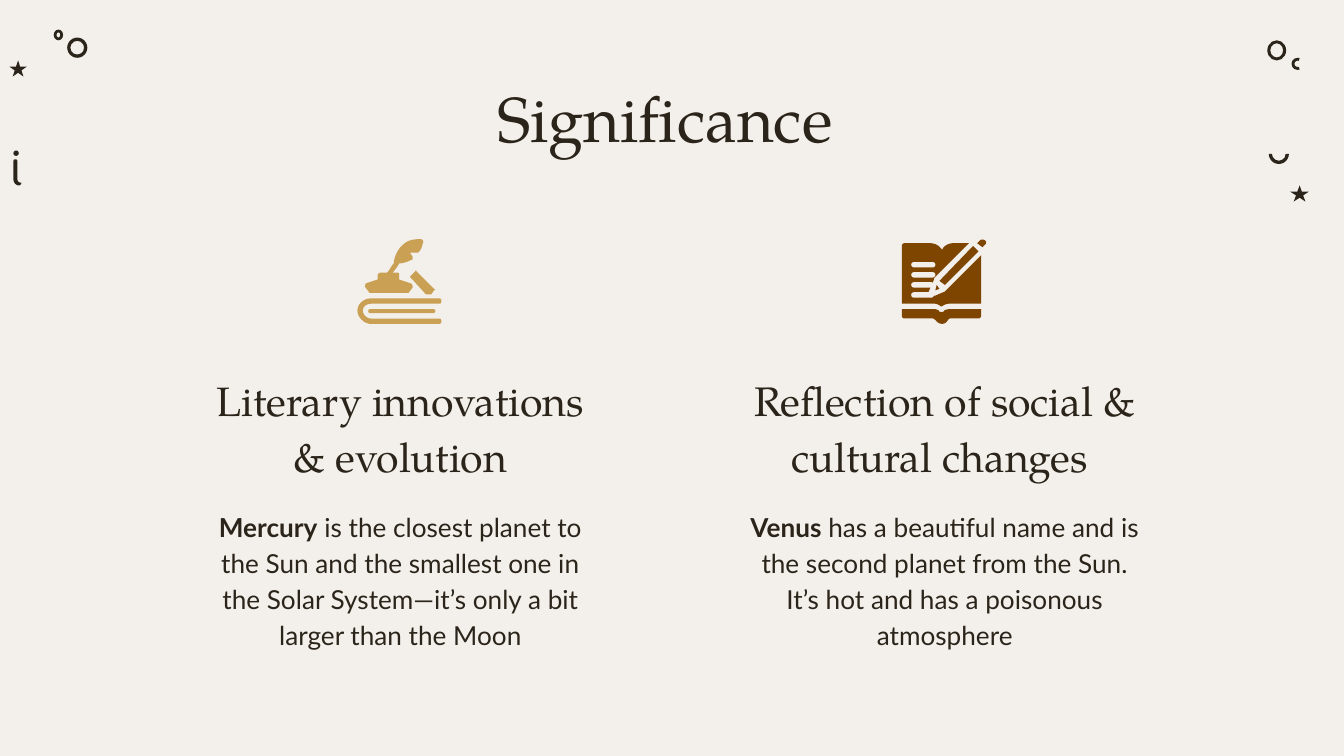
"""Build the two-column "Significance" slide with its icons and corner ornaments."""
import lxml.etree
import pptx
import pptx.dml.color
import pptx.enum.shapes
import pptx.enum.text
import pptx.oxml.ns
import pptx.util

Inches = pptx.util.Inches
Preset = pptx.enum.shapes.MSO_SHAPE
Anchor = pptx.enum.text.MSO_ANCHOR

COLORS = {"background": "F3EFEA", "ink": "2B241A", "gold": "CAA054", "brown": "7E4500"}
SERIF, SANS = "TeX Gyre Pagella", "Lato"

COLUMNS = [
    (1.43, "Literary innovations & evolution", "Mercury",
     " is the closest planet to the Sun and the smallest one in the Solar System—it’s only a bit larger than the Moon"),
    (5.48, "Reflection of social & cultural changes ", "Venus",
     " has a beautiful name and is the second planet from the Sun. It’s hot and has a poisonous atmosphere"),
]

ORNAMENTS = [
    (Preset.STAR_5_POINT, (9.6, 1.38, 0.14, 0.12), ()),
    (Preset.DONUT, (9.43, 0.3, 0.14, 0.15), (0.16,)),
    (Preset.BLOCK_ARC, (9.44, 1.07, 0.15, 0.15), (0, 108, 0.16)),
    (Preset.BLOCK_ARC, (9.61, 0.43, 0.09, 0.09), (42, 174, 0.24)),
    (Preset.STAR_5_POINT, (0.07, 0.45, 0.13, 0.12), ()),
    (Preset.DONUT, (0.5, 0.28, 0.15, 0.15), (0.16,)),
    (Preset.DONUT, (0.4, 0.22, 0.07, 0.08), (0.3,)),
    (Preset.OVAL, (0.1, 1.12, 0.04, 0.04), ()),
]
HOOK = [(0.1, 1.33), (0.1, 1.36, 0.12, 1.38, 0.14, 1.38), (0.15, 1.38, 0.16, 1.37, 0.16, 1.36),
        (0.14, 1.36, 0.13, 1.35, 0.13, 1.33), (0.13, 1.2), (0.13, 1.18, 0.1, 1.18, 0.1, 1.2)]

PENCIL_TIP = [(6.96, 2.16), (6.99, 2.15), (6.97, 2.12)]
PENCIL_BODY = [(7.28, 1.87), (7.24, 1.83), (6.99, 2.09), (7.03, 2.12)]
PENCIL_END = [(7.33, 1.79), (7.32, 1.78, 7.3, 1.78, 7.29, 1.79), (7.27, 1.81), (7.31, 1.84),
              (7.33, 1.82), (7.34, 1.81, 7.34, 1.8, 7.33, 1.79)]
BOOK_COVER = [(7.07, 2.3), (7.04, 2.3, 7.02, 2.31, 7.02, 2.32), (6.99, 2.32),
              (6.99, 2.31, 6.97, 2.3, 6.95, 2.3), (6.71, 2.3), (6.71, 2.35),
              (6.71, 2.36, 6.72, 2.37, 6.73, 2.37), (6.94, 2.37),
              (6.96, 2.37, 6.97, 2.41, 7.01, 2.41), (7.05, 2.41, 7.05, 2.37, 7.07, 2.37),
              (7.28, 2.37), (7.29, 2.37, 7.3, 2.36, 7.3, 2.35), (7.3, 2.3)]
BOOK_PAGES = [(6.95, 2.26), (6.97, 2.26, 6.99, 2.27, 7, 2.28), (7.01, 2.28),
              (7.02, 2.27, 7.04, 2.26, 7.07, 2.26), (7.3, 2.26), (7.3, 1.9), (7.04, 2.16),
              (7.03, 2.17), (6.96, 2.2), (6.91, 2.21), (6.91, 2.17), (6.95, 2.08), (6.95, 2.07),
              (7.21, 1.81), (7.09, 1.81), (7.06, 1.81, 7.02, 1.83, 7.01, 1.86),
              (6.99, 1.83, 6.96, 1.81, 6.92, 1.81), (6.73, 1.81),
              (6.72, 1.81, 6.71, 1.82, 6.71, 1.83), (6.71, 2.26)]

BOOK_SPINE = [(3.27, 2.41), (2.76, 2.41), (2.71, 2.41, 2.66, 2.36, 2.66, 2.31),
              (2.66, 2.26, 2.71, 2.22, 2.76, 2.22), (3.27, 2.22),
              (3.29, 2.22, 3.29, 2.26, 3.27, 2.26), (2.76, 2.26),
              (2.73, 2.26, 2.7, 2.28, 2.7, 2.31), (2.7, 2.34, 2.73, 2.37, 2.76, 2.37),
              (3.27, 2.37), (3.29, 2.37, 3.29, 2.41, 3.27, 2.41)]
QUILL_CASE = [(3.17, 2.19), (3.21, 2.19), (3.23, 2.16), (3.24, 2.16, 3.24, 2.15, 3.23, 2.15),
              (3.1, 2.02), (3.1, 2.01, 3.09, 2.01, 3.09, 2.02), (3.06, 2.05),
              (3.05, 2.06, 3.05, 2.06, 3.06, 2.07)]
FEATHER_INKWELL = [
    (3.13, 1.78), (3.1, 1.78, 3.04, 1.78, 3, 1.82), (2.95, 1.86, 2.93, 1.93, 2.93, 1.96),
    (2.91, 1.98, 2.9, 2.01, 2.88, 2.03), (2.83, 2.03), (2.82, 2.03, 2.81, 2.04, 2.81, 2.05),
    (2.81, 2.08), (2.72, 2.11), (2.72, 2.12, 2.71, 2.13, 2.72, 2.14), (2.75, 2.18), (3.04, 2.18),
    (3.07, 2.14), (3.07, 2.13, 3.07, 2.12, 3.06, 2.11), (2.97, 2.08), (2.97, 2.05),
    (2.97, 2.04, 2.97, 2.03, 2.96, 2.03), (2.92, 2.03), (2.94, 2.01, 2.96, 1.98, 2.97, 1.96),
    (3, 1.96, 3.03, 1.95, 3.07, 1.93), (3.07, 1.92, 3.07, 1.91, 3.07, 1.91), (3.05, 1.88),
    (3.11, 1.88), (3.14, 1.86, 3.14, 1.82, 3.15, 1.8), (3.15, 1.79, 3.14, 1.78, 3.13, 1.78)]


def rgb(name):
    """Return the named palette colour."""
    return pptx.dml.color.RGBColor.from_string(COLORS[name])


def paint(shape, color):
    """Give a shape a flat fill without outline or shadow."""
    shape.shadow.inherit = False
    shape.fill.solid()
    shape.fill.fore_color.rgb = rgb(color)
    shape.line.fill.background()


def add_preset(slide, preset, box, color, adjustments=()):
    """Add a preset shape in a box of inches."""
    shape = slide.shapes.add_shape(preset, *map(Inches, box))
    for index, value in enumerate(adjustments):
        shape.adjustments[index] = value
    paint(shape, color)


def add_pill(slide, box, color):
    """Add a bar with fully rounded ends."""
    add_preset(slide, Preset.ROUNDED_RECTANGLE, box, color, (0.5,))


def trace(segments, steps=8):
    """Turn points and cubic curves into a list of points."""
    points = [segments[0]]
    for segment in segments[1:]:
        if len(segment) == 2:
            points.append(segment)
            continue
        controls = [points[-1], segment[:2], segment[2:4], segment[4:]]
        for step in range(1, steps + 1):
            t = step / steps
            weights = ((1 - t) ** 3, 3 * t * (1 - t) ** 2, 3 * t * t * (1 - t), t ** 3)
            points.append(tuple(sum(weight * control[axis] for weight, control in zip(weights, controls))
                                for axis in (0, 1)))
    return [(Inches(x), Inches(y)) for x, y in points]


def add_outline(slide, segments, color):
    """Add a closed freeform."""
    points = trace(segments)
    builder = slide.shapes.build_freeform(*points[0])
    builder.add_line_segments(points[1:], close=True)
    paint(builder.convert_to_shape(), color)


def fill_placeholder(placeholder, box, runs, font, size, spacing=1.15, anchor=Anchor.TOP):
    """Place a placeholder and write one centred paragraph of (text, bold) runs."""
    placeholder.left, placeholder.top, placeholder.width, placeholder.height = map(Inches, box)
    frame = placeholder.text_frame
    frame.word_wrap = True
    frame.auto_size = pptx.enum.text.MSO_AUTO_SIZE.NONE
    frame.vertical_anchor = anchor
    frame.margin_left = frame.margin_right = frame.margin_top = frame.margin_bottom = Inches(0.1)
    paragraph = frame.paragraphs[0]
    paragraph.alignment = pptx.enum.text.PP_ALIGN.CENTER
    paragraph.line_spacing = spacing
    paragraph.space_before = pptx.util.Pt(0)
    properties = paragraph._p.get_or_add_pPr()
    properties.set("marL", "0")
    properties.set("indent", "0")
    lxml.etree.SubElement(properties, pptx.oxml.ns.qn("a:buNone"))
    for text, bold in runs:
        run = paragraph.add_run()
        run.text = text
        run.font.name = font
        run.font.size = pptx.util.Pt(size)
        run.font.bold = bold
        run.font.color.rgb = rgb("ink")


def add_ornaments(slide):
    """Draw the small marks in both top corners."""
    for preset, box, adjustments in ORNAMENTS:
        add_preset(slide, preset, box, "ink", adjustments)
    add_outline(slide, HOOK, "ink")


def add_quill_icon(slide):
    """Draw the quill and inkwell on a book."""
    add_pill(slide, (2.74, 2.3, 0.5, 0.03), "gold")
    for segments in (BOOK_SPINE, QUILL_CASE, FEATHER_INKWELL):
        add_outline(slide, segments, "gold")


def add_notebook_icon(slide):
    """Draw the open book with text lines and a pencil."""
    for segments in (BOOK_COVER, BOOK_PAGES):
        add_outline(slide, segments, "brown")
    for index, width in enumerate((0.18, 0.18, 0.17, 0.17)):
        add_pill(slide, (6.78, 1.95 + 0.3 * index / 4, width, 0.04), "background")
    for segments in (PENCIL_TIP, PENCIL_BODY, PENCIL_END):
        add_outline(slide, segments, "brown")


def main():
    """Build and save the presentation."""
    presentation = pptx.Presentation()
    presentation.slide_width = Inches(10)
    presentation.slide_height = Inches(10 * 9 / 16)
    slide = presentation.slides.add_slide(presentation.slide_layouts.get_by_name("Comparison"))
    slide.background.fill.solid()
    slide.background.fill.fore_color.rgb = rgb("background")

    title, *bodies = slide.placeholders
    fill_placeholder(title, (0.79, 0.49, 8.43, 0.63), [("Significance ", False)], SERIF, 34, spacing=1.0)
    for (left, heading, planet, description), heading_body, text_body in zip(COLUMNS, bodies[::2], bodies[1::2]):
        fill_placeholder(heading_body, (left, 2.67, 3.1, 1.01), [(heading, False)], SERIF, 22,
                         anchor=Anchor.BOTTOM)
        fill_placeholder(text_body, (left, 3.67, 3.1, 1.11), [(planet, True), (description, False)], SANS, 14)

    add_ornaments(slide)
    add_quill_icon(slide)
    add_notebook_icon(slide)
    presentation.save("out.pptx")


if __name__ == "__main__":
    main()
